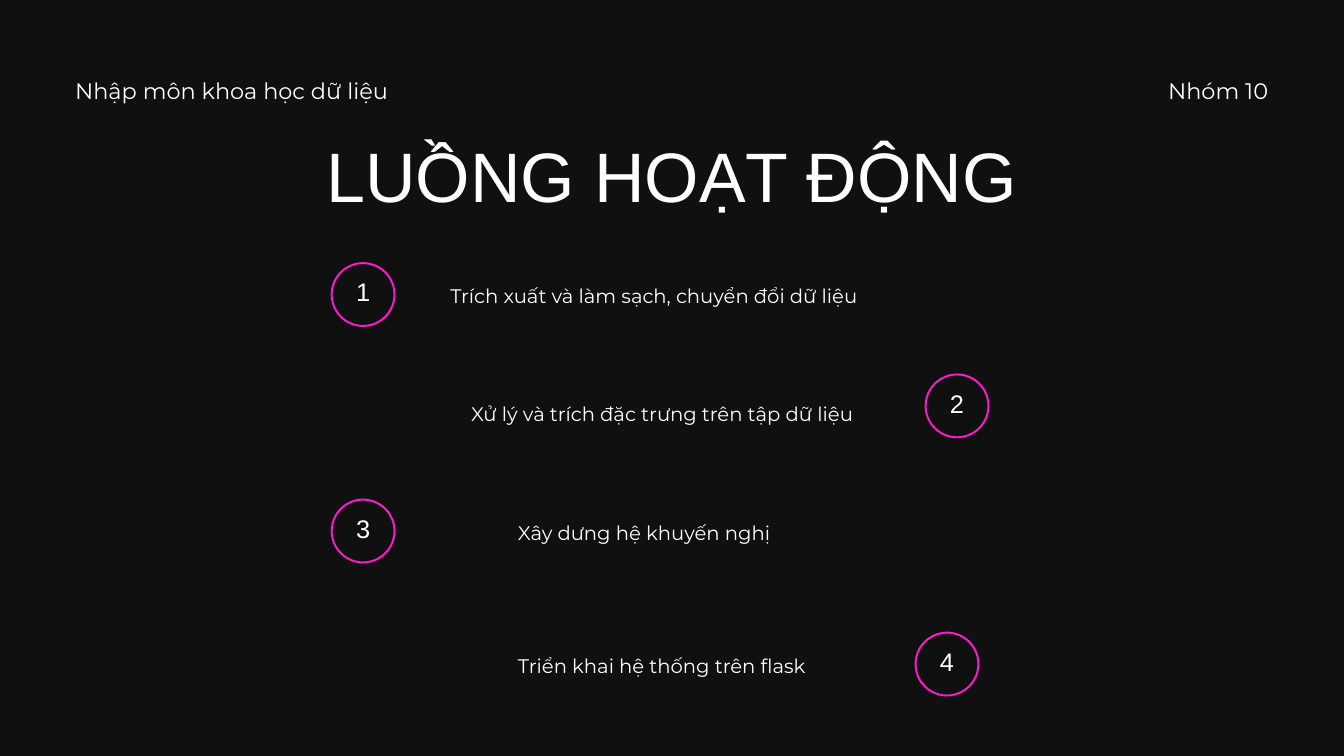
from pptx import Presentation
from pptx.dml.color import RGBColor
from pptx.enum.shapes import MSO_SHAPE as Shape
from pptx.enum.text import MSO_ANCHOR as Anchor, MSO_AUTO_SIZE as Fit, PP_ALIGN as Align
from pptx.util import Cm, Pt

BACK, WHITE, PINK = "101010", "FFFFFF", "FF19CF"
BODY, HEAD = "Montserrat", "Arial"
RING = 2.45
INSET = 0.77

# number, ring left and top, text left, top and width, text
STEPS = [
    ("1", 12.5, 9.91, 17.02, 10.59, 16.76, "Trích xuất và làm sạch, chuyển đổi dữ liệu"),
    ("2", 34.95, 14.12, 17.81, 15.06, 18.36, "Xử lý và trích đặc trưng trên tập dữ liệu"),
    ("3", 12.5, 18.85, 19.58, 19.53, 11.63, "Xây dưng hệ khuyến nghị"),
    ("4", 34.57, 23.88, 19.58, 24.56, 11.63, "Triển khai hệ thống trên flask"),
]


def paint(fill, color):
    fill.solid()
    fill.fore_color.rgb = RGBColor.from_string(color)


def set_text(shape, text, font, size, line, align):
    """Fill a shape with one paragraph; size and line spacing are in points."""
    frame = shape.text_frame
    frame.text = text
    frame.word_wrap = True
    frame.auto_size = Fit.SHAPE_TO_FIT_TEXT
    frame.vertical_anchor = Anchor.TOP
    frame.margin_left = frame.margin_right = 0
    frame.margin_top = frame.margin_bottom = 0
    para = frame.paragraphs[0]
    para.alignment = align
    para.line_spacing = Pt(line)
    run = para.runs[0].font
    run.name, run.size = font, Pt(size)
    run.color.rgb = RGBColor.from_string(WHITE)


def add_title(slide, text):
    title = slide.shapes.title
    title.left, title.top = Cm(6.1), Cm(5.28)
    title.width, title.height = Cm(38.58), Cm(3)
    set_text(title, text, HEAD, 75, 82.5, Align.CENTER)


def add_label(slide, text, left, top, width, size, line, align=Align.LEFT):
    box = slide.shapes.add_textbox(Cm(left), Cm(top), Cm(width), Cm(0.99))
    set_text(box, text, BODY, size, line, align)


def add_badge(slide, number, left, top):
    """Draw a thin ring with a number in its centre."""
    group = slide.shapes.add_group_shape()
    ring = group.shapes.add_shape(Shape.DONUT, Cm(left), Cm(top), Cm(RING), Cm(RING))
    ring.adjustments[0] = 0.03
    ring.shadow.inherit = False
    paint(ring.fill, PINK)
    ring.line.fill.background()
    box = group.shapes.add_textbox(
        Cm(left + INSET), Cm(top + INSET), Cm(RING - 2 * INSET), Cm(1.04))
    set_text(box, number, HEAD, 27.2, 26.1, Align.CENTER)


def main():
    deck = Presentation()
    deck.slide_width, deck.slide_height = Cm(50.8), Cm(28.58)
    slide = deck.slides.add_slide(deck.slide_layouts[5])
    paint(slide.background.fill, BACK)

    add_label(slide, "Nhóm 10", 37.01, 2.9, 10.92, 24, 28.8, Align.RIGHT)
    add_label(slide, "Nhập môn khoa học dữ liệu", 2.84, 2.9, 13.72, 24, 28.8)
    add_title(slide, "LUỒNG HOẠT ĐỘNG")
    for number, ring_x, ring_y, left, top, width, text in STEPS:
        add_badge(slide, number, ring_x, ring_y)
        add_label(slide, text, left, top, width, 21, 29.4)

    deck.save("out.pptx")


if __name__ == "__main__":
    main()
